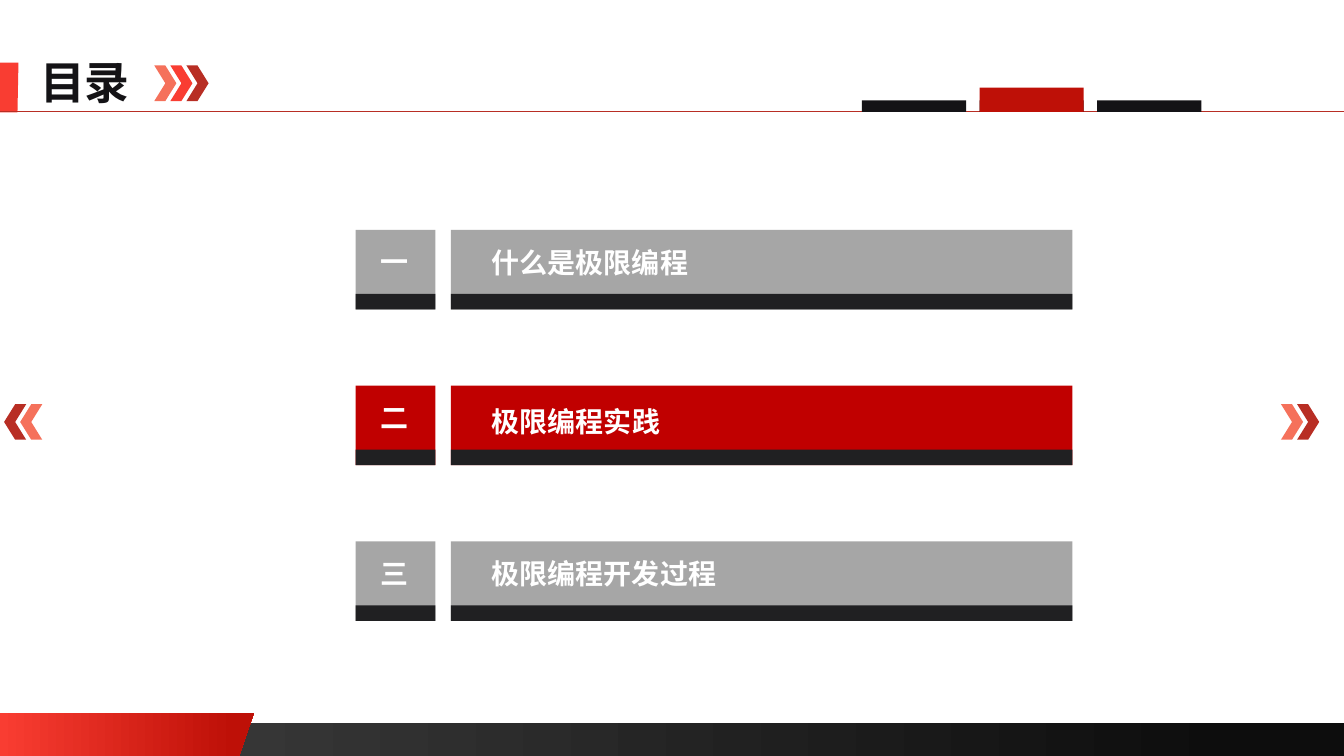
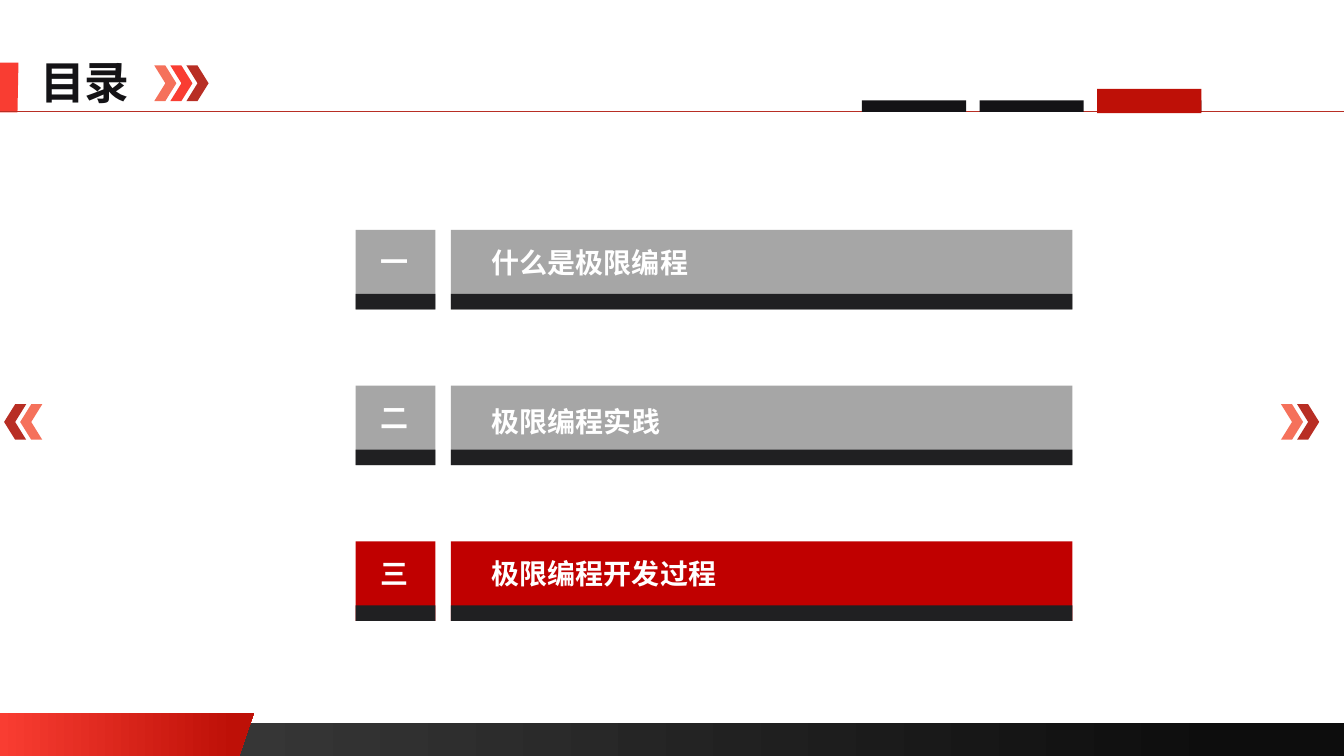
from lxml import etree
from pptx import Presentation
from pptx.dml.color import RGBColor
from pptx.enum.shapes import MSO_CONNECTOR, MSO_SHAPE
from pptx.enum.text import MSO_AUTO_SIZE, PP_ALIGN
from pptx.oxml.ns import qn
from pptx.util import Pt

RECTANGLE = MSO_SHAPE.RECTANGLE
CHEVRON = MSO_SHAPE.CHEVRON
STRAIGHT = MSO_CONNECTOR.STRAIGHT
GROW = MSO_AUTO_SIZE.SHAPE_TO_FIT_TEXT
LEFT, CENTER = PP_ALIGN.LEFT, PP_ALIGN.CENTER

WIDTH, HEIGHT = 960, 540
FONT = "Noto Sans CJK SC"
COLORS = {
    "white": "FFFFFF",
    "ink": "141316",
    "base": "202022",
    "gray": "A6A6A6",
    "active": "C00000",
    "coral": "F5715B",
    "red": "F93D32",
    "brick": "B82E24",
    "deep": "BE1007",
    "charcoal": "404040",
    "black": "0D0D0D",
}
CHAPTERS = [
    ("一", "什么是极限编程", 172.1, 208),
    ("二", "极限编程实践", 285.1, 176.4),
    ("三", "极限编程开发过程", 393.8, 177.8),
]
ROW_TOP, ROW_PITCH, ROW_HEIGHT = 164.2, 111.25, 56.9
BASE_HEIGHT = 11.1
ROW_BLOCKS = [(254, 57), (322, 444)]
TAB_LEFT, TAB_PITCH, TAB_WIDTH = 615.7, 84, 74.4
RULE_TOP = 79.9
CHEVRON_STEP = 11.5


def rgb(color):
    return RGBColor.from_string(COLORS[color])


class AgendaDeck:
    def __init__(self):
        self.deck = Presentation()
        self.deck.slide_width = Pt(WIDTH)
        self.deck.slide_height = Pt(HEIGHT)
        self.page = None

    def paint(self, shape, colors):
        shape.shadow.inherit = False
        shape.line.fill.background()
        if len(colors) == 1:
            shape.fill.solid()
            shape.fill.fore_color.rgb = rgb(colors[0])
            return
        shape.fill.gradient()
        shape.fill.gradient_angle = 0
        for stop, color, position in zip(shape.fill.gradient_stops, colors, (0, 0.92)):
            stop.color.rgb = rgb(color)
            stop.position = position

    def block(self, left, top, width, height, *colors, kind=RECTANGLE):
        shape = self.page.shapes.add_shape(kind, Pt(left), Pt(top), Pt(width), Pt(height))
        self.paint(shape, colors)
        return shape

    def outline(self, points, *colors):
        corners = [(Pt(x), Pt(y)) for x, y in points]
        builder = self.page.shapes.build_freeform(*corners[0])
        builder.add_line_segments(corners[1:], close=True)
        self.paint(builder.convert_to_shape(), colors)

    def rule(self, top, color):
        line = self.page.shapes.add_connector(STRAIGHT, 0, Pt(top), Pt(WIDTH), Pt(top))
        line.line.color.rgb = rgb(color)
        line.line.width = Pt(0.5)
        etree.SubElement(line._element.spPr, qn("a:effectLst"))

    def text(self, left, top, width, height, words, size, color, align=LEFT, wrap=False):
        box = self.page.shapes.add_textbox(Pt(left), Pt(top), Pt(width), Pt(height))
        box.text_frame.word_wrap = wrap
        box.text_frame.auto_size = GROW
        para = box.text_frame.paragraphs[0]
        para.alignment = align
        span = para.add_run()
        span.text = words
        span.font.size = Pt(size)
        span.font.bold = True
        span.font.name = FONT
        span.font.color.rgb = rgb(color)
        east_asian = etree.SubElement(span.font._element, qn("a:ea"))
        east_asian.set("typeface", FONT)

    def chevrons(self, left, top, colors, rotation=0):
        for index, color in enumerate(colors):
            shape = self.block(left + index * CHEVRON_STEP, top, 15.8, 25.4, color, kind=CHEVRON)
            shape.rotation = rotation

    def frame(self, title):
        self.page = self.deck.slides.add_slide(self.deck.slide_layouts[6])
        self.block(0, 516.4, WIDTH, 23.6, "charcoal", "black")
        self.outline([(0, 509.2), (181.4, 509.2), (170.8, HEIGHT), (0, HEIGHT)], "red", "deep")
        self.outline([(0, 44.8), (13.2, 44.8), (12.5, 80.3), (0, 80.3)], "red")
        self.text(21.6, 35.3, 79.2, 46.1, title, 32, "ink")
        self.rule(RULE_TOP, "brick")
        self.chevrons(110.2, 46.8, ["coral", "red", "brick"])
        self.chevrons(915, 288.7, ["coral", "brick"])
        self.chevrons(2.9, 288.7, ["brick", "coral"], rotation=180)

    def tabs(self, active, active_top):
        lefts = [TAB_LEFT + index * TAB_PITCH for index in range(len(CHAPTERS))]
        for left in lefts:
            self.block(left, 71.8, TAB_WIDTH, 8.1, "ink")
        self.block(lefts[active], active_top, TAB_WIDTH, 17.4, "deep")

    def chapter(self, index, active):
        number, name, name_top, name_width = CHAPTERS[index]
        top = ROW_TOP + index * ROW_PITCH
        for left, width in ROW_BLOCKS:
            self.block(left, top, width, ROW_HEIGHT, "active" if active else "gray")
            self.block(left, top + ROW_HEIGHT - BASE_HEIGHT, width, BASE_HEIGHT, "base")
        self.text(264.2, top + 7.2, 34.6, 31.5, number, 20, "white", CENTER)
        self.text(344.2, name_top, name_width, 31.5, name, 20, "white", wrap=True)

    def agenda(self, active, active_top):
        self.frame("目录")
        self.tabs(active, active_top)
        for index in range(len(CHAPTERS)):
            self.chapter(index, index == active)


def main():
    agenda_deck = AgendaDeck()
    agenda_deck.agenda(1, 62.6)
    agenda_deck.agenda(2, 63.5)
    agenda_deck.deck.save("out.pptx")


if __name__ == "__main__":
    main()
